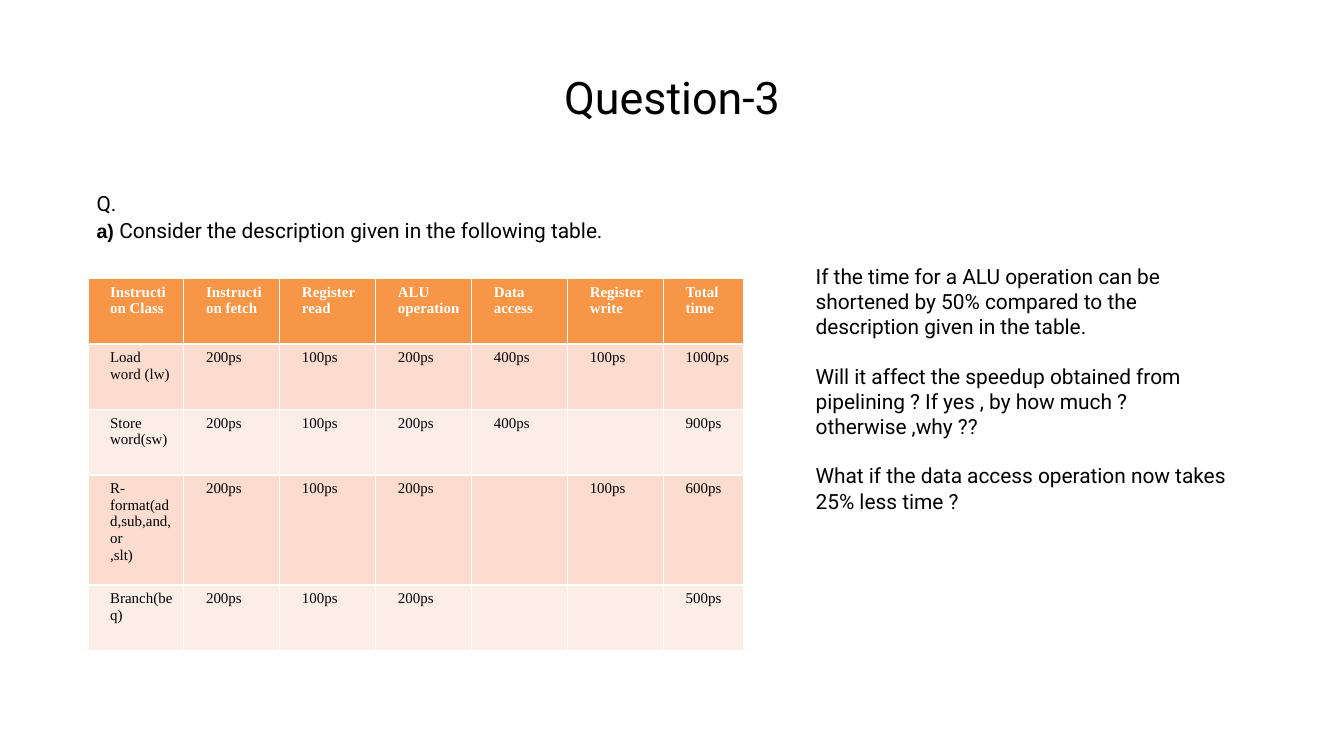
import pptx
import pptx.dml.color
import pptx.enum.text
import pptx.oxml
import pptx.oxml.ns
import pptx.util

Pt = pptx.util.Pt
RGBColor = pptx.dml.color.RGBColor
PP_ALIGN = pptx.enum.text.PP_ALIGN

BLACK = RGBColor(0x00, 0x00, 0x00)
WHITE = RGBColor(0xFF, 0xFF, 0xFF)
ORANGE = RGBColor(0xF6, 0x96, 0x46)
ROSE = RGBColor(0xFC, 0xDC, 0xCE)
PALE_ROSE = RGBColor(0xFC, 0xEE, 0xE7)

BODY_SIZE = 11.2
COL_WIDTHS = [51.4] * 6 + [42.9]
ROW_HEIGHTS = [35.1, 35.1, 35.1, 58.9, 35.1]

# A newline inside a cell starts a new paragraph
TIMINGS = [
    ["Instruction Class", "Instruction fetch", "Register read", "ALU\noperation",
     "Data access", "Register write", "Total time"],
    ["Load word (lw)", "200ps", "100ps", "200ps", "400ps", "100ps", "1000ps"],
    ["Store word(sw)", "200ps", "100ps", "200ps", "400ps", "", "900ps"],
    ["R-format(ad d,sub,and,or\n,slt)", "200ps", "100ps", "200ps", "", "100ps", "600ps"],
    ["Branch(beq)", "200ps", "100ps", "200ps", "", "", "500ps"],
]

# A vertical tab is a line break within the paragraph
QUESTIONS = [
    "If the time for a ALU operation can be shortened by 50% compared to the "
    "description given in the table.",
    "Will it affect the speedup obtained from pipelining ? If yes , by how much ?"
    "\votherwise ,why ??",
    "What if the data access operation now takes 25% less time ?",
]


def format_text(item, font="Roboto", size=BODY_SIZE, color=BLACK, bold=False):
    """Format a run or a whole paragraph."""
    item.font.name = font
    item.font.size = Pt(size)
    item.font.color.rgb = color
    item.font.bold = bold


def add_text(slide, box, paragraphs, insets=(0, 0, 0, 0), align=PP_ALIGN.LEFT,
             space_before=0, **fmt):
    """Add a text box; each paragraph is a list of (text, format) runs."""
    tf = slide.shapes.add_textbox(*map(Pt, box)).text_frame
    tf.word_wrap = True
    tf.margin_left, tf.margin_top, tf.margin_right, tf.margin_bottom = map(Pt, insets)
    for i, runs in enumerate(paragraphs):
        p = tf.add_paragraph() if i else tf.paragraphs[0]
        p.alignment = align
        p.space_before = Pt(space_before if i else 0)
        for text, run_fmt in runs:
            for j, line in enumerate(text.split("\v")):
                if j:
                    p.add_line_break()
                r = p.add_run()
                r.text = line
                format_text(r, **{**fmt, **run_fmt})


def set_borders(cell, color, width):
    tcPr = cell._tc.get_or_add_tcPr()
    for i, side in enumerate(("lnL", "lnR", "lnT", "lnB")):
        tcPr.insert(i, pptx.oxml.parse_xml(
            f'<a:{side} {pptx.oxml.ns.nsdecls("a")} w="{Pt(width)}"><a:solidFill>'
            f'<a:srgbClr val="{color}"/></a:solidFill></a:{side}>'))


def fill_cell(cell, text, fill, **fmt):
    cell.fill.solid()
    cell.fill.fore_color.rgb = fill
    cell.margin_left = cell.margin_right = Pt(5.6)
    cell.margin_top = cell.margin_bottom = Pt(2.8)
    cell.text = text
    for p in cell.text_frame.paragraphs:
        p._p.get_or_add_pPr().set("marL", str(Pt(6.4)))
        format_text(p, font="Times New Roman", size=8, **fmt)
    set_borders(cell, WHITE, 0.96)


def add_timing_table(slide, left, top):
    table = slide.shapes.add_table(
        len(TIMINGS), len(COL_WIDTHS), Pt(left), Pt(top),
        Pt(sum(COL_WIDTHS)), Pt(sum(ROW_HEIGHTS))).table
    for column, width in zip(table.columns, COL_WIDTHS):
        column.width = Pt(width)
    for i, (row, height) in enumerate(zip(table.rows, ROW_HEIGHTS)):
        row.height = Pt(height)
        header = i == 0
        fill = ORANGE if header else ROSE if i % 2 else PALE_ROSE
        for cell, text in zip(row.cells, TIMINGS[i]):
            fill_cell(cell, text, fill, color=WHITE if header else BLACK, bold=header)


def main():
    prs = pptx.Presentation()
    prs.slide_width, prs.slide_height = Pt(720), Pt(405)
    slide = prs.slides.add_slide(prs.slide_layouts[6])

    # Title
    add_text(slide, (288.7, 36.7, 142.6, 68.4), [[("Question-3", {})]],
             insets=(0, 0.7, 0, 0), align=PP_ALIGN.CENTER, size=24)

    # Question and its table
    add_text(slide, (51.8, 95.8, 298.8, 50),
             [[("Q.", {})],
              [("a) ", {"font": "Arial", "size": 10.5, "bold": True}),
               ("Consider the description given in the following table.", {})]],
             insets=(0, 6.5, 0, 0), space_before=0.7)
    add_timing_table(slide, 47, 149.3)

    # Follow-up questions
    add_text(slide, (432, 138.2, 237.6, 192.2), [[(q, {})] for q in QUESTIONS],
             insets=(5, 2.9, 5, 2.9), space_before=13.2)

    prs.save("out.pptx")


main()
